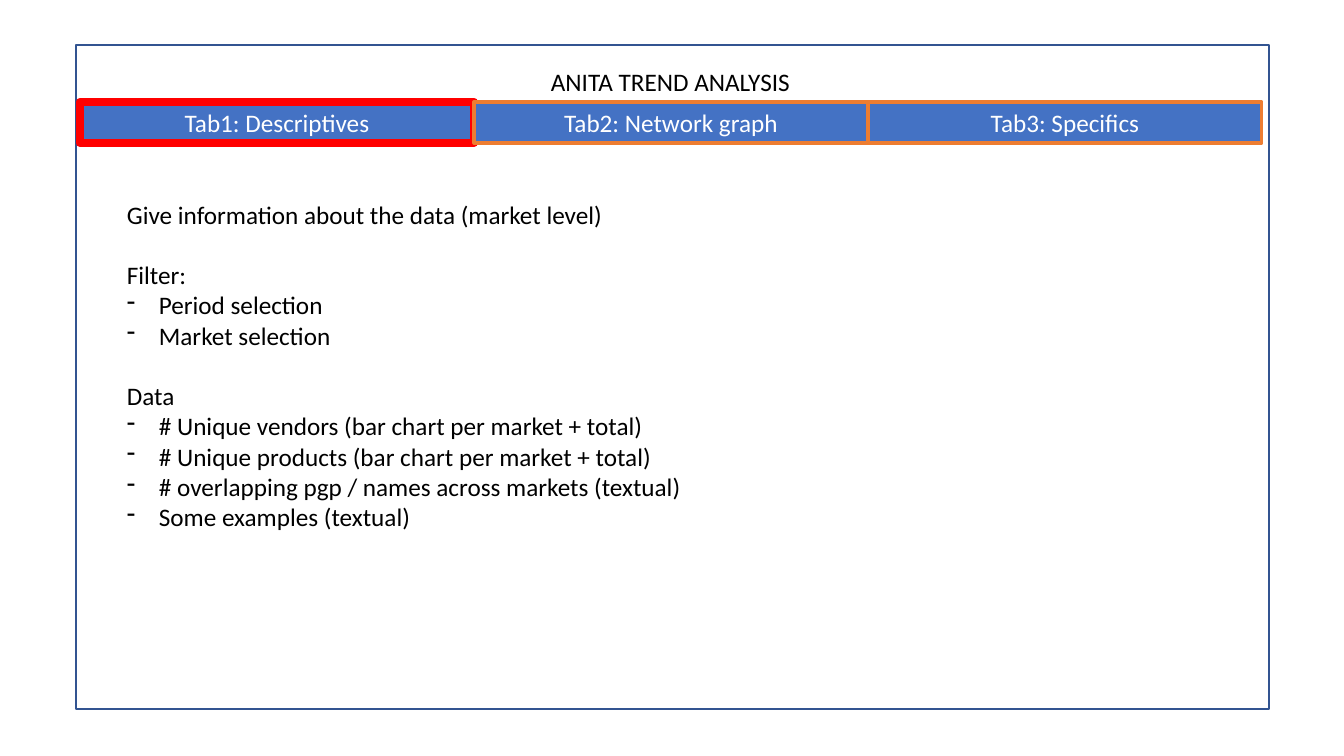
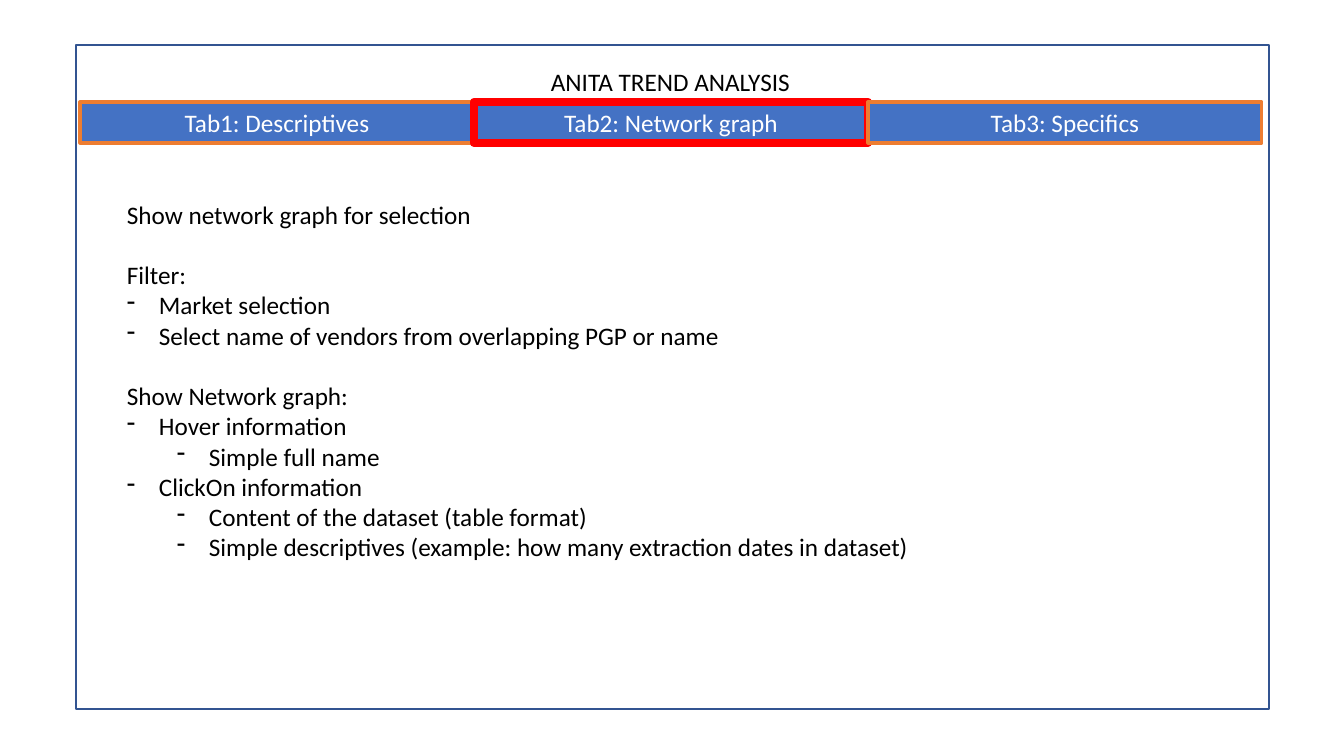
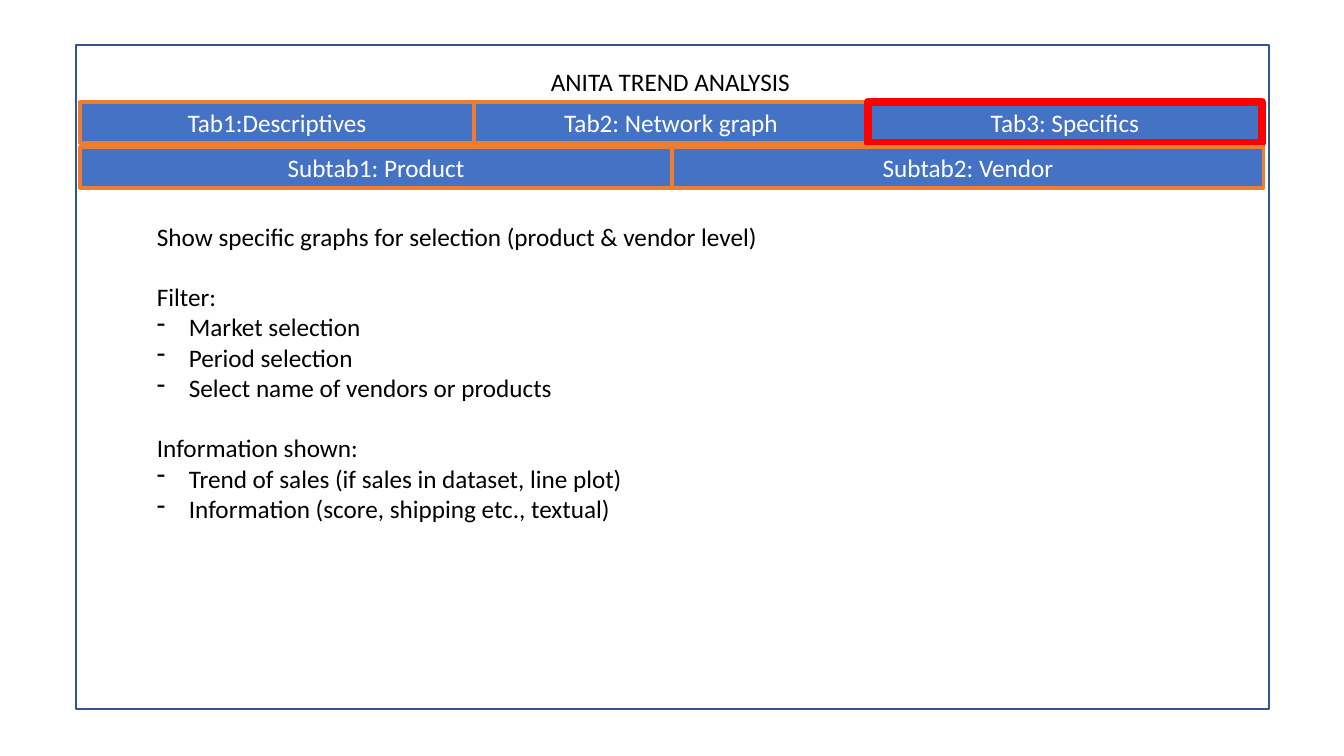
from lxml.etree import SubElement
from pptx import Presentation
from pptx.dml.color import RGBColor
from pptx.enum.shapes import MSO_SHAPE
from pptx.enum.text import MSO_ANCHOR, MSO_AUTO_SIZE, PP_ALIGN
from pptx.oxml.ns import qn
from pptx.util import Pt

EMU_PER_PIXEL = 914400 / 100.8
SLIDE_WIDTH, SLIDE_HEIGHT = 1344, 756

WHITE = RGBColor(0xFF, 0xFF, 0xFF)
BLACK = RGBColor(0x00, 0x00, 0x00)
BLUE = RGBColor(0x44, 0x72, 0xC4)
DARK_BLUE = RGBColor(0x32, 0x54, 0x91)
ORANGE = RGBColor(0xED, 0x7D, 0x31)
RED = RGBColor(0xFF, 0x00, 0x00)

TITLE = "ANITA TREND ANALYSIS"
FONT = {"name": "Calibri", "size": Pt(18)}
SECTION_GAP = Pt(21.6)
BULLET_INDENT, LEVEL_STEP = 32, 50
TAB_LEFT, TAB_HEIGHT = 80, 41
TAB_TOP, SUBTAB_TOP = 102, 147

# Each body line is (depth, text): 0 is a heading, 1 and 2 are bullets.
PAGES = [
    {
        "tabs": ["Tab1: Descriptives", "Tab2: Network graph", "Tab3: Specifics"],
        "subtabs": [],
        "body_box": (117, 194, 917, 346),
        "body": [
            (0, "Give information about the data (market level)"),
            (0, "Filter:"),
            (1, "Period selection"),
            (1, "Market selection"),
            (0, "Data"),
            (1, "# Unique vendors (bar chart per market + total)"),
            (1, "# Unique products (bar chart per market + total)"),
            (1, "# overlapping pgp / names across markets (textual)"),
            (1, "Some examples (textual)"),
        ],
    },
    {
        "tabs": ["Tab1: Descriptives", "Tab2: Network graph", "Tab3: Specifics"],
        "subtabs": [],
        "body_box": (117, 194, 917, 407),
        "body": [
            (0, "Show network graph for selection"),
            (0, "Filter:"),
            (1, "Market selection"),
            (1, "Select name of vendors from overlapping PGP or name"),
            (0, "Show Network graph:"),
            (1, "Hover information"),
            (2, "Simple full name"),
            (1, "ClickOn information"),
            (2, "Content of the dataset (table format)"),
            (2, "Simple descriptives (example: how many extraction dates in dataset)"),
        ],
    },
    {
        "tabs": ["Tab1:Descriptives", "Tab2: Network graph", "Tab3: Specifics"],
        "subtabs": ["Subtab1: Product", "Subtab2: Vendor"],
        "body_box": (147, 216, 917, 407),
        "body": [
            (0, "Show specific graphs for selection (product & vendor level)"),
            (0, "Filter:"),
            (1, "Market selection"),
            (1, "Period selection"),
            (1, "Select name of vendors or products"),
            (0, "Information shown:"),
            (1, "Trend of sales (if sales in dataset, line plot)"),
            (1, "Information (score, shipping etc., textual)"),
        ],
    },
]


def emu(pixels):
    """Turn pixels into whole EMU."""
    return round(pixels * EMU_PER_PIXEL)


def apply_format(target, values):
    """Set each named attribute on the target."""
    for name, value in values.items():
        setattr(target, name, value)


class Deck:
    """Holds the presentation, its style and the current slide."""

    def __init__(self):
        """Start an empty presentation of the right size."""
        self.presentation = Presentation()
        self.presentation.slide_width = emu(SLIDE_WIDTH)
        self.presentation.slide_height = emu(SLIDE_HEIGHT)
        self.slide = None

    def new_slide(self):
        """Add a blank slide with the frame and the title."""
        blank_layout = self.presentation.slide_layouts[6]
        self.slide = self.presentation.slides.add_slide(blank_layout)
        self.rectangle((76, 45, 1193, 664), None, DARK_BLUE, 1)
        self.text((541, 61, 261, 40), [(0, TITLE)])

    def rectangle(self, box, fill, line, line_width):
        """Draw an outlined rectangle, unfilled when fill is None."""
        shape = self.slide.shapes.add_shape(MSO_SHAPE.RECTANGLE, *map(emu, box))
        shape.shadow.inherit = False
        if fill is None:
            shape.fill.background()
        else:
            shape.fill.solid()
            shape.fill.fore_color.rgb = fill
        shape.line.color.rgb = line
        shape.line.width = Pt(line_width)
        return shape

    def styled_run(self, paragraph, text, color):
        """Put one styled run into a paragraph."""
        run = paragraph.add_run()
        run.text = text
        apply_format(run.font, FONT)
        run.font.color.rgb = color

    def tab_row(self, labels, top, width, active=None):
        """Draw touching tabs, the active one outlined in red."""
        for index, label in enumerate(labels):
            line, line_width = (RED, 6) if index == active else (ORANGE, 2.25)
            box = (TAB_LEFT + index * width, top, width, TAB_HEIGHT)
            tab = self.rectangle(box, BLUE, line, line_width)
            tab.text_frame.vertical_anchor = MSO_ANCHOR.MIDDLE
            paragraph = tab.text_frame.paragraphs[0]
            paragraph.alignment = PP_ALIGN.CENTER
            self.styled_run(paragraph, label, WHITE)

    def text(self, box, lines):
        """Add a text box of headings and dashed bullets."""
        frame = self.slide.shapes.add_textbox(*map(emu, box)).text_frame
        apply_format(frame, {"word_wrap": True,
                             "auto_size": MSO_AUTO_SIZE.SHAPE_TO_FIT_TEXT})
        for index, (depth, text) in enumerate(lines):
            paragraph = frame.add_paragraph() if index else frame.paragraphs[0]
            if depth:
                self.bullet(paragraph, depth - 1)
            elif index:
                paragraph.space_before = SECTION_GAP
            self.styled_run(paragraph, text, BLACK)

    def bullet(self, paragraph, level):
        """Give a paragraph a hanging dash at the given level."""
        paragraph.level = level
        properties = paragraph._p.get_or_add_pPr()
        properties.set("marL", str(emu(BULLET_INDENT + level * LEVEL_STEP)))
        properties.set("indent", str(-emu(BULLET_INDENT)))
        SubElement(properties, qn("a:buFontTx"))
        SubElement(properties, qn("a:buChar")).set("char", "-")


def main():
    """Build every page and save the file."""
    deck = Deck()
    for number, page in enumerate(PAGES):
        deck.new_slide()
        deck.tab_row(page["tabs"], TAB_TOP, 394, active=number)
        deck.text(page["body_box"], page["body"])
        deck.tab_row(page["subtabs"], SUBTAB_TOP, 592)
    deck.presentation.save("out.pptx")


main()
